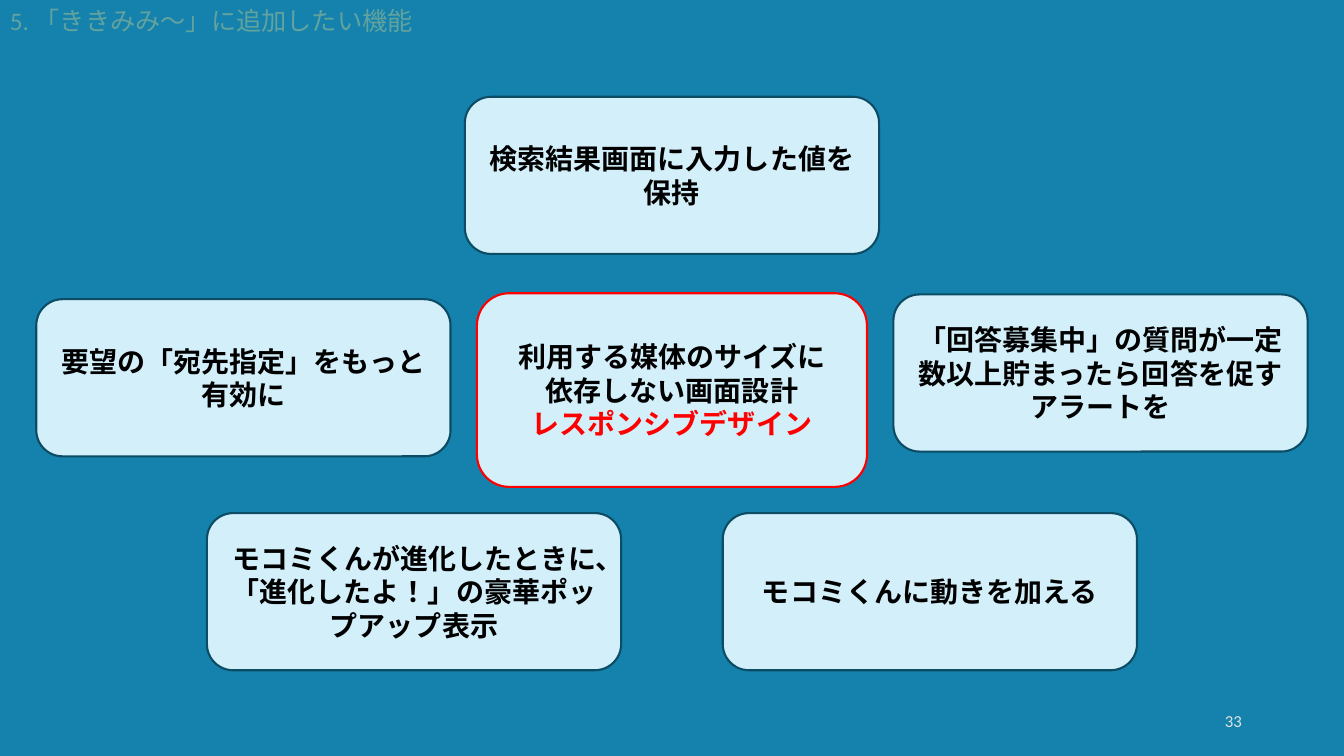
from pptx import Presentation
from pptx.dml.color import RGBColor
from pptx.enum.lang import MSO_LANGUAGE_ID as LANG
from pptx.enum.shapes import MSO_SHAPE as SHAPE
from pptx.enum.text import MSO_ANCHOR as ANCHOR, PP_ALIGN as ALIGN
from pptx.util import Cm, Pt

COLORS = {
    "background": "1482AC",
    "card": "D2EFFA",
    "edge": "0C4C64",
    "accent": "FF0000",
    "text": "000000",
    "title": "62A39F",
    "number": "DFE3E5",
}
TITLE = "5. 「ききみみ～」に追加したい機能"
NUMBER = "33"
WIDTH, HEIGHT = 33.87, 19.05
CARD = (10.44, 3.96)
CENTRE_CARD = (9.83, 4.88)
PAIR_OFFSET, SIDE_OFFSET = 6.5, 10.8

IDEAS = [
    (0, 2.44, CARD, "edge", [("検索結果画面に入力した値を保持", "text")]),
    (-PAIR_OFFSET, 12.93, CARD, "edge",
     [("モコミくんが進化したときに、「進化したよ！」の豪華ポップアップ表示", "text")]),
    (PAIR_OFFSET, 12.93, CARD, "edge", [("モコミくんに動きを加える", "text")]),
    (SIDE_OFFSET, 7.42, CARD, "edge",
     [("「回答募集中」の質問が一定数以上貯まったら回答を促すアラートを", "text")]),
    (-SIDE_OFFSET, 7.54, CARD, "edge", [("要望の「宛先指定」をもっと有効に", "text")]),
    (0, 7.39, CENTRE_CARD, "accent",
     [("利用する媒体のサイズに", "text"),
      ("依存しない画面設計", "text"),
      ("レスポンシブデザイン", "accent")]),
]
LABELS = [
    (TITLE, (0, 0, 11.35, 1.02), "title", 18, ALIGN.LEFT, ANCHOR.TOP, False),
    (NUMBER, (23.93, 17.65, 7.62, 1.02), "number", 12, ALIGN.RIGHT, ANCHOR.MIDDLE, True),
]


def rgb(name):
    return RGBColor.from_string(COLORS[name])


def write(tf, lines, size, align, anchor, wrap=True, bold=False):
    tf.word_wrap = wrap
    tf.vertical_anchor = anchor
    style = {"name": "Calibri", "size": Pt(size), "bold": bold, "language_id": LANG.JAPANESE}
    for i, (text, color) in enumerate(lines):
        p = tf.add_paragraph() if i else tf.paragraphs[0]
        p.alignment = align
        r = p.add_run()
        r.text = text
        for key, value in style.items():
            setattr(r.font, key, value)
        r.font.color.rgb = rgb(color)


def add_card(s, offset, top, size, edge, lines):
    width, height = size
    left = WIDTH / 2 + offset - width / 2
    sp = s.shapes.add_shape(SHAPE.ROUNDED_RECTANGLE, Cm(left), Cm(top), Cm(width), Cm(height))
    sp.shadow.inherit = False
    sp.fill.solid()
    sp.fill.fore_color.rgb = rgb("card")
    sp.line.color.rgb = rgb(edge)
    sp.line.width = Pt(1.5)
    write(sp.text_frame, lines, 20, ALIGN.CENTER, ANCHOR.MIDDLE, bold=True)


def main():
    prs = Presentation()
    prs.slide_width, prs.slide_height = Cm(WIDTH), Cm(HEIGHT)
    s = prs.slides.add_slide(prs.slide_layouts[6])
    s.background.fill.solid()
    s.background.fill.fore_color.rgb = rgb("background")
    for text, box, color, size, align, anchor, wrap in LABELS:
        sp = s.shapes.add_textbox(*map(Cm, box))
        write(sp.text_frame, [(text, color)], size, align, anchor, wrap)
    for idea in IDEAS:
        add_card(s, *idea)
    prs.save("out.pptx")


if __name__ == "__main__":
    main()
